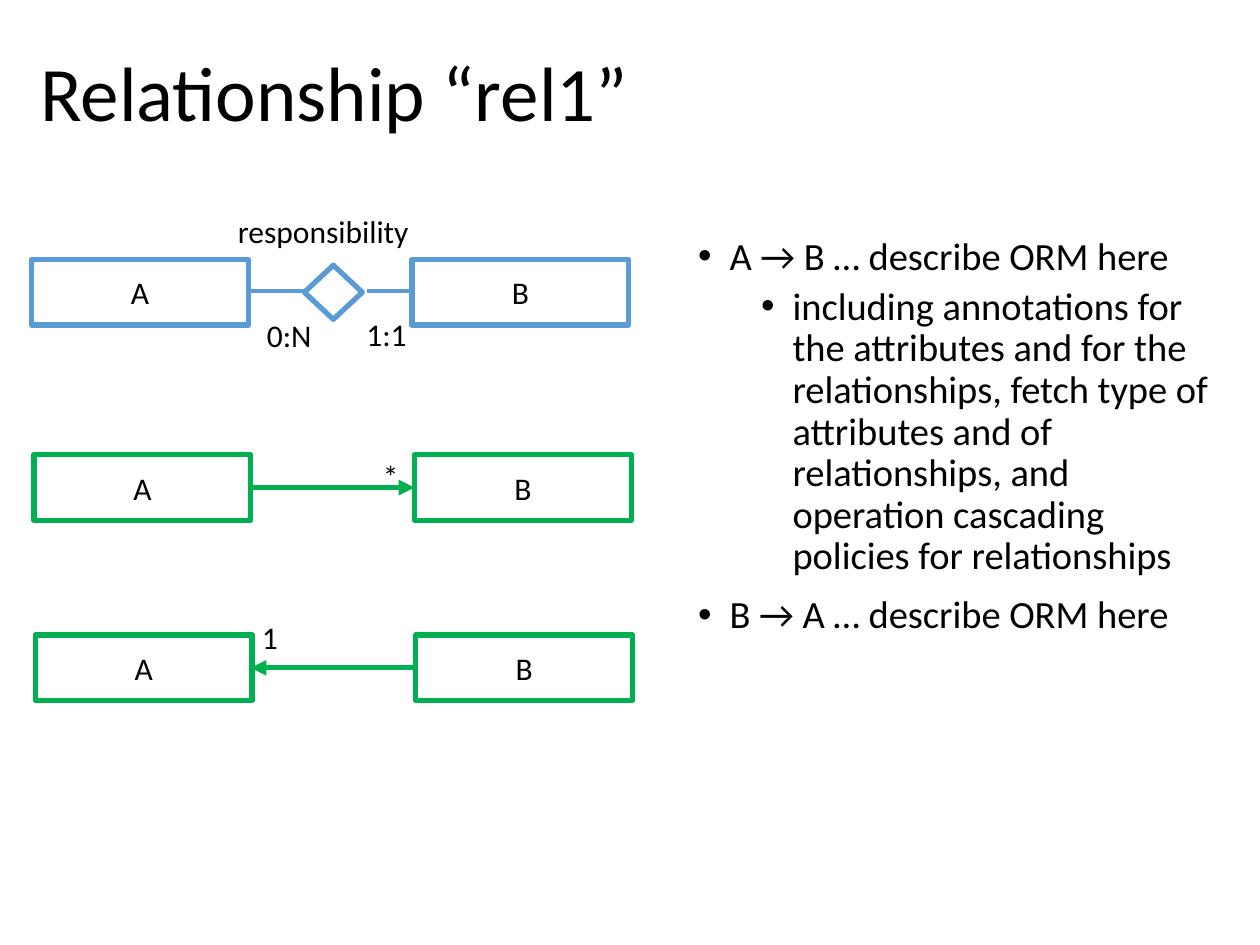
from dataclasses import dataclass

from lxml import etree
from pptx import Presentation
from pptx.dml.color import RGBColor
from pptx.enum.shapes import MSO_CONNECTOR, MSO_SHAPE
from pptx.enum.text import MSO_ANCHOR, MSO_AUTO_SIZE, PP_ALIGN
from pptx.oxml.ns import qn
from pptx.util import Inches, Pt

LEFT, CENTER = PP_ALIGN.LEFT, PP_ALIGN.CENTER
TOP, MIDDLE = MSO_ANCHOR.TOP, MSO_ANCHOR.MIDDLE
FIXED, GROW = MSO_AUTO_SIZE.NONE, MSO_AUTO_SIZE.SHAPE_TO_FIT_TEXT
RECT, DIAMOND = MSO_SHAPE.RECTANGLE, MSO_SHAPE.DIAMOND
STRAIGHT = MSO_CONNECTOR.STRAIGHT


@dataclass(frozen=True)
class Theme:
    font: str = "Calibri"
    ink: str = "000000"
    paper: str = "FFFFFF"
    blue: str = "5B9BD5"
    green: str = "00B050"
    title: int = 44
    body: int = 22
    label: int = 18


@dataclass(frozen=True)
class Pair:
    left: float
    top: float
    color: str
    fill: str = ""


@dataclass(frozen=True)
class Link:
    start: float
    end: float
    y: float
    color: str
    width: float
    arrow: bool = False


@dataclass(frozen=True)
class Label:
    text: str
    left: float
    top: float
    width: float


@dataclass(frozen=True)
class Point:
    text: str
    level: int
    indent: float
    before: int


THEME = Theme()
WIDE, HIGH, STEP = 1.72, 0.52, 3.02
PAIRS = [
    Pair(0.25, 2.06, THEME.blue, THEME.paper),
    Pair(0.27, 3.61, THEME.green),
    Pair(0.28, 5.04, THEME.green),
]
LINKS = [
    Link(3.27, 2.91, 2.31, THEME.blue, 2.25),
    Link(2.42, 1.96, 2.31, THEME.blue, 2.25),
    Link(1.98, 3.29, 3.87, THEME.green, 3, True),
    Link(3.3, 1.99, 5.3, THEME.green, 3, True),
]
LABELS = [
    Label("1:1", 2.81, 2.45, 0.53),
    Label("0:N", 2.02, 2.46, 0.56),
    Label("responsibility", 1.79, 1.63, 1.57),
    Label("*", 2.94, 3.58, 0.33),
    Label("1", 1.98, 4.86, 0.33),
]
POINTS = [
    Point("A → B … describe ORM here", 0, 0.25, 10),
    Point(
        "including annotations for the attributes and for the relationships, "
        "fetch type of attributes and of relationships, and operation "
        "cascading policies for relationships",
        1, 0.75, 5,
    ),
    Point("B → A … describe ORM here", 0, 0.25, 10),
]


def apply(target, values: dict) -> None:
    for name, value in values.items():
        setattr(target, name, value)


def place(shape, left: float, top: float, width: float, height: float) -> None:
    names = ("left", "top", "width", "height")
    apply(shape, dict(zip(names, map(Inches, (left, top, width, height)))))


def write(para, text: str, size: int, form: dict) -> None:
    run = para.add_run()
    run.text = text
    apply(run.font, {"name": THEME.font, "size": Pt(size)})
    run.font.color.rgb = RGBColor.from_string(THEME.ink)
    apply(para, form)


def outline(item, color: str, width: float) -> None:
    item.line.color.rgb = RGBColor.from_string(color)
    item.line.width = Pt(width)


def block(slide, kind, box: tuple, color: str, fill: str):
    shape = slide.shapes.add_shape(kind, *map(Inches, box))
    shape.shadow.inherit = False
    outline(shape, color, 3)
    if fill:
        shape.fill.solid()
        shape.fill.fore_color.rgb = RGBColor.from_string(fill)
    else:
        shape.fill.background()
    return shape


def draw_pair(slide, pair: Pair) -> None:
    for col, name in enumerate("AB"):
        box = (pair.left + col * STEP, pair.top, WIDE, HIGH)
        frame = block(slide, RECT, box, pair.color, pair.fill).text_frame
        frame.vertical_anchor = MIDDLE
        write(frame.paragraphs[0], name, THEME.label, {"alignment": CENTER})


def draw_link(slide, link: Link) -> None:
    ends = (link.start, link.y, link.end, link.y)
    line = slide.shapes.add_connector(STRAIGHT, *map(Inches, ends))
    outline(line, link.color, link.width)
    if link.arrow:
        tip = etree.SubElement(line.line._get_or_add_ln(), qn("a:tailEnd"))
        tip.set("type", "triangle")
    etree.SubElement(line._element.spPr, qn("a:effectLst"))


def draw_label(slide, label: Label) -> None:
    box = (label.left, label.top, label.width, 0.4)
    frame = slide.shapes.add_textbox(*map(Inches, box)).text_frame
    apply(frame, {"word_wrap": False, "auto_size": GROW})
    write(frame.paragraphs[0], label.text, THEME.label, {"alignment": LEFT})


def draw_point(para, point: Point) -> None:
    form = {"level": point.level, "line_spacing": 0.9,
            "space_before": Pt(point.before), "alignment": LEFT}
    write(para, point.text, THEME.body, form)
    props = para._p.get_or_add_pPr()
    props.set("marL", str(Inches(point.indent)))
    props.set("indent", str(Inches(-0.25)))
    etree.SubElement(props, qn("a:buFont")).set("typeface", "Arial")
    etree.SubElement(props, qn("a:buChar")).set("char", "•")


def main() -> None:
    deck = Presentation()
    apply(deck, {"slide_width": Inches(10), "slide_height": Inches(7.5)})
    slide = deck.slides.add_slide(deck.slide_layouts[1])

    title, body = slide.placeholders
    place(title, 0.22, 0.04, 8.62, 1.45)
    apply(title.text_frame, {"vertical_anchor": MIDDLE, "auto_size": FIXED})
    write(title.text_frame.paragraphs[0], "Relationship “rel1”", THEME.title,
          {"alignment": LEFT, "line_spacing": 0.9})

    place(body, 5.44, 1.83, 4.25, 4.76)
    frame = body.text_frame
    apply(frame, {"vertical_anchor": TOP, "auto_size": FIXED})
    for row, point in enumerate(POINTS):
        draw_point(frame.add_paragraph() if row else frame.paragraphs[0], point)

    for pair in PAIRS:
        draw_pair(slide, pair)
    gem = block(slide, DIAMOND, (2.43, 2.09, 0.43, 0.46), THEME.blue, THEME.paper)
    gem.rotation = 90
    for link in LINKS:
        draw_link(slide, link)
    for label in LABELS:
        draw_label(slide, label)
    deck.save("out.pptx")


main()
